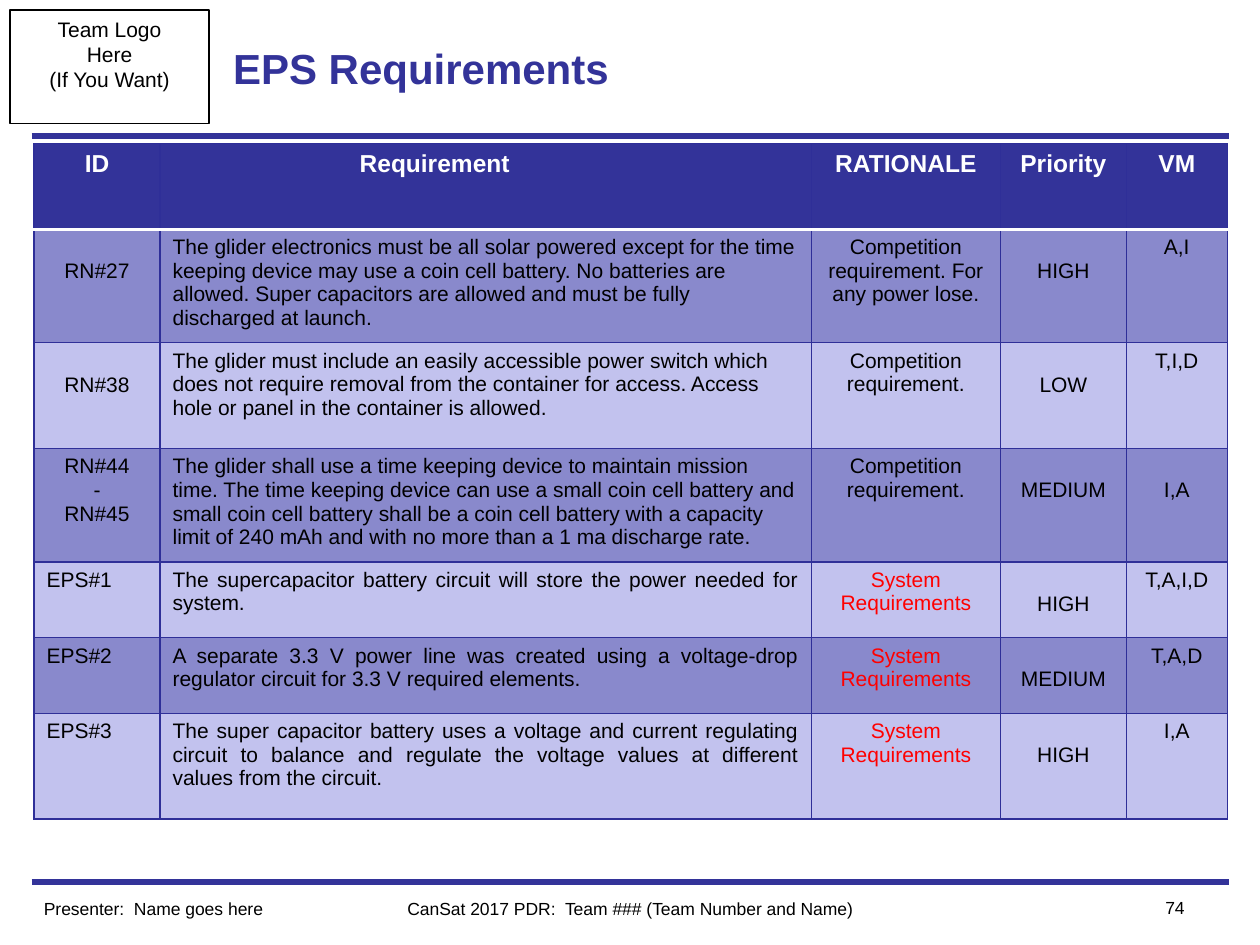
from lxml import etree
from pptx import Presentation
from pptx.dml.color import RGBColor
from pptx.enum.shapes import MSO_CONNECTOR, MSO_SHAPE
from pptx.enum.text import MSO_ANCHOR, MSO_AUTO_SIZE, PP_ALIGN
from pptx.oxml.ns import qn
from pptx.util import Inches, Pt

LEFT, CENTER, RIGHT = PP_ALIGN.LEFT, PP_ALIGN.CENTER, PP_ALIGN.RIGHT
JUSTIFY = PP_ALIGN.JUSTIFY
TITLE_ONLY = 5
FONT = "Arial"
COLORS = {
    "navy": "333399",
    "border": "2F2F98",
    "dark_band": "8989CC",
    "light_band": "C2C2EE",
    "black": "000000",
    "white": "FFFFFF",
    "red": "FF0000",
}

COLUMN_WIDTHS = [1, 5.17, 1.5, 1, 0.8]
ROW_HEIGHTS = [0.68, 0.84, 0.84, 0.84, 0.6, 0.6, 0.84]
HEADERS = ["ID", "Requirement", "RATIONALE", "Priority", "VM"]
COMPETITION = "Competition requirement."
SYSTEM = "System Requirements"
REQUIREMENTS = [
    ["RN#27", "The glider electronics must be all solar powered except for the time keeping device "
     "may use a coin cell battery. No batteries are allowed. Super capacitors are allowed and "
     "must be fully discharged at launch.",
     "Competition requirement. For any power lose.", "HIGH", "A,I"],
    ["RN#38", "The glider must include an easily accessible power switch which does not require "
     "removal from the container for access. Access hole or panel in the container is allowed.",
     COMPETITION, "LOW", "T,I,D"],
    ["RN#44\n-\nRN#45", "The glider shall use a time keeping device to maintain mission time. "
     "The time keeping device can use a small coin cell battery and small coin cell battery "
     "shall be a coin cell battery with a capacity\n"
     "limit of 240 mAh and with no more than a 1 ma discharge rate.",
     COMPETITION, "MEDIUM", "I,A"],
    ["EPS#1", "The supercapacitor battery circuit will store the power needed for system.",
     SYSTEM, "HIGH", "T,A,I,D"],
    ["EPS#2", "A separate 3.3 V power line was created using a voltage-drop regulator circuit "
     "for 3.3 V required elements.",
     SYSTEM, "MEDIUM", "T,A,D"],
    ["EPS#3", "The super capacitor battery uses a voltage and current regulating circuit to "
     "balance and regulate the voltage values at different values from the circuit.",
     SYSTEM, "HIGH", "I,A"],
]
# Cells (row, column) whose text starts on the second line, besides the priorities
LOWERED_CELLS = {(1, 0), (2, 0), (3, 4)}
LOWERED_MARGIN = 0.24


def rgb(name):
    return RGBColor.from_string(COLORS[name])


def write_text(text_frame, text, size, color="black", bold=False, alignment=LEFT):
    text_frame.text = text
    text_frame.word_wrap = True
    for paragraph in text_frame.paragraphs:
        paragraph.alignment = alignment
        for run in paragraph.runs:
            run.font.name = FONT
            run.font.size = Pt(size)
            run.font.bold = bold
            run.font.color.rgb = rgb(color)


def add_rule(slide, top):
    rule = slide.shapes.add_connector(
        MSO_CONNECTOR.STRAIGHT, Inches(0.25), Inches(top), Inches(9.75), Inches(top))
    rule.line.color.rgb = rgb("navy")
    rule.line.width = Pt(3)
    etree.SubElement(rule._element.spPr, qn("a:effectLst"))


def add_logo_box(slide):
    box = slide.shapes.add_shape(
        MSO_SHAPE.RECTANGLE, Inches(0.08), Inches(0.08), Inches(1.58), Inches(0.9))
    box.shadow.inherit = False
    box.fill.background()
    box.line.color.rgb = rgb("black")
    box.line.width = Pt(0.75)
    box.text_frame.vertical_anchor = MSO_ANCHOR.TOP
    write_text(box.text_frame, "Team Logo\nHere\n(If You Want)", 12, alignment=CENTER)


def set_title(slide, text):
    title = slide.shapes.title
    title.left, title.top = Inches(1.75), Inches(0.08)
    title.width, title.height = Inches(6.5), Inches(0.92)
    title.text_frame.vertical_anchor = MSO_ANCHOR.MIDDLE
    title.text_frame.auto_size = MSO_AUTO_SIZE.NONE
    write_text(title.text_frame, text, 24, "navy", bold=True)


def add_footer(slide, text, left, top, width, alignment):
    box = slide.shapes.add_textbox(Inches(left), Inches(top), Inches(width), Inches(0.27))
    write_text(box.text_frame, text, 10, alignment=alignment)


def set_borders(cell, top=("border", 0.75), bottom=("border", 0.75)):
    properties = cell._tc.get_or_add_tcPr()
    side = ("border", 0.75)
    edges = [("a:lnL", side), ("a:lnR", side), ("a:lnT", top), ("a:lnB", bottom)]
    for position, (tag, (color, width)) in enumerate(edges):
        line = etree.Element(qn(tag), w=str(Pt(width)))
        fill = etree.SubElement(line, qn("a:solidFill"))
        etree.SubElement(fill, qn("a:srgbClr"), val=COLORS[color])
        properties.insert(position, line)


def fill_cell(cell, text, fill, **text_format):
    cell.fill.solid()
    cell.fill.fore_color.rgb = rgb(fill)
    write_text(cell.text_frame, text, **text_format)


def requirement_alignment(text, column, is_system):
    if column == 1:
        return JUSTIFY if is_system else LEFT
    return LEFT if column == 0 and is_system else CENTER


def add_requirements_table(slide):
    frame = slide.shapes.add_table(
        len(ROW_HEIGHTS), len(COLUMN_WIDTHS), Inches(0.27), Inches(1.14),
        Inches(sum(COLUMN_WIDTHS)), Inches(sum(ROW_HEIGHTS)))
    table = frame.table
    for column, width in zip(table.columns, COLUMN_WIDTHS):
        column.width = Inches(width)
    for row, height in zip(table.rows, ROW_HEIGHTS):
        row.height = Inches(height)

    header_edge = ("white", 2)
    for column_index, text in enumerate(HEADERS):
        cell = table.cell(0, column_index)
        fill_cell(cell, text, "navy", size=14, color="white", bold=True, alignment=CENTER)
        set_borders(cell, bottom=header_edge)
    table.cell(0, 1).margin_right = Inches(0.91)

    for row_index, values in enumerate(REQUIREMENTS, start=1):
        band = "dark_band" if row_index % 2 else "light_band"
        is_system = values[2] == SYSTEM
        for column_index, text in enumerate(values):
            cell = table.cell(row_index, column_index)
            fill_cell(cell, text, band, size=12,
                      color="red" if text == SYSTEM else "black",
                      alignment=requirement_alignment(text, column_index, is_system))
            if column_index == 3 or (row_index, column_index) in LOWERED_CELLS:
                cell.margin_top = Inches(LOWERED_MARGIN)
            if row_index == 1:
                set_borders(cell, top=header_edge)
            else:
                set_borders(cell)


def main():
    presentation = Presentation()
    presentation.slide_width, presentation.slide_height = Inches(10), Inches(7.5)
    slide = presentation.slides.add_slide(presentation.slide_layouts[TITLE_ONLY])
    for top in (7, 1.08):
        add_rule(slide, top)
    add_logo_box(slide)
    set_title(slide, "EPS Requirements")
    add_footer(slide, "Presenter:  Name goes here", 0.25, 7.08, 2.5, LEFT)
    add_footer(slide, "CanSat 2017 PDR:  Team ### (Team Number and Name)", 3, 7.08, 4, CENTER)
    add_footer(slide, "74", 8.75, 7.07, 0.75, RIGHT)
    add_requirements_table(slide)
    presentation.save("out.pptx")


if __name__ == "__main__":
    main()
